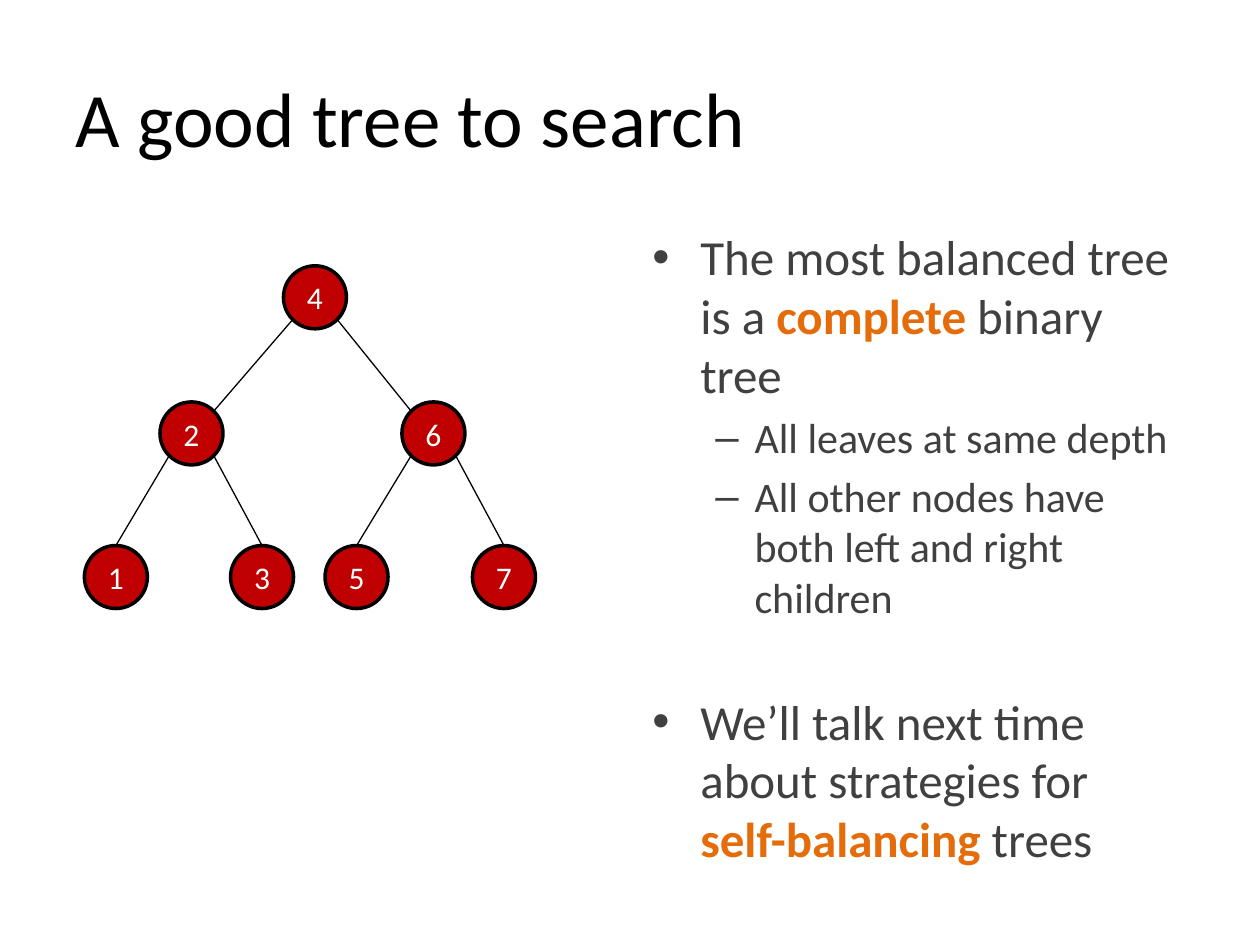
from dataclasses import dataclass
from math import sqrt

from lxml import etree
from pptx import Presentation
from pptx import util as u
from pptx.dml.color import RGBColor
from pptx.enum import shapes, text
from pptx.oxml.ns import qn


@dataclass(frozen=True)
class Theme:
    """Colours, font and type sizes."""
    font: str = "Calibri"
    ink: str = "000000"
    body: str = "404040"
    accent: str = "E46C0A"
    node: str = "C00000"
    label: str = "FFFFFF"
    title_size: int = 44
    body_sizes: tuple = (28, 24)
    label_size: int = 18


THEME = Theme()
SIZE = 0.5  # node diameter
# key: (centre x, centre y, parent)
NODES = {
    4: (2.5, 2.36, None),
    2: (1.52, 3.44, 4),
    6: (3.44, 3.44, 4),
    1: (0.92, 4.58, 2),
    3: (2.08, 4.58, 2),
    5: (2.83, 4.58, 6),
    7: (4, 4.58, 6),
}
# level, space before in points, runs as (wording, is key term)
POINTS = [
    (0, 0, [("The most balanced tree is a ", False), ("complete ", True),
            ("binary tree", False)]),
    (1, 4.8, [("All leaves at same depth", False)]),
    (1, 4.8, [("All other nodes have both left and right children", False)]),
    (0, 39.7, [("We’ll talk next time about strategies for ", False),
               ("self-balancing ", True), ("trees", False)]),
]
# per level: bullet, left margin, indent
BULLETS = [("•", 0.38, -0.38), ("–", 0.81, -0.31)]


def style(run, size, color, bold=False):
    """Format one run."""
    run.font.name = THEME.font
    run.font.size = u.Pt(size)
    run.font.bold = bold
    run.font.color.rgb = RGBColor.from_string(color)


def add_title(slide, words):
    """Fill and place the title placeholder."""
    title = slide.shapes.title
    title.left, title.top = u.Inches(0.5), u.Inches(0.3)
    title.width, title.height = u.Inches(9), u.Inches(1.25)
    frame = title.text_frame
    frame.text = words
    frame.auto_size = text.MSO_AUTO_SIZE.NONE
    frame.vertical_anchor = text.MSO_ANCHOR.MIDDLE
    para = frame.paragraphs[0]
    para.alignment = text.PP_ALIGN.LEFT
    style(para.runs[0], THEME.title_size, THEME.ink)


def set_bullet(para, level):
    """Give a paragraph the bullet and indent of its level."""
    char, margin, indent = BULLETS[level]
    para.level = level
    props = para._p.get_or_add_pPr()
    props.set("marL", str(u.Inches(margin)))
    props.set("indent", str(u.Inches(indent)))
    etree.SubElement(props, qn("a:buFont")).set("typeface", "Arial")
    etree.SubElement(props, qn("a:buChar")).set("char", char)


def add_points(slide):
    """Add the bulleted text column."""
    box = slide.shapes.add_textbox(
        u.Inches(5.08), u.Inches(1.75), u.Inches(4.42), u.Inches(4.95))
    frame = box.text_frame
    frame.word_wrap = True
    for i, (level, gap, parts) in enumerate(POINTS):
        para = frame.add_paragraph() if i else frame.paragraphs[0]
        para.space_before = u.Pt(gap)
        set_bullet(para, level)
        for words, key in parts:
            run = para.add_run()
            run.text = words
            style(run, THEME.body_sizes[level],
                  THEME.accent if key else THEME.body, key)


def add_edge(slide, parent, child, leaf):
    """Join the lower side of a parent to the upper side of its child."""
    (px, py), (cx, cy) = parent, child
    diag = SIZE / 2 / sqrt(2)
    side = diag if cx > px else -diag
    end = (cx, cy - SIZE / 2) if leaf else (cx - side, cy - diag)
    ends = (px + side, py + diag, *end)
    line = slide.shapes.add_connector(
        shapes.MSO_CONNECTOR.STRAIGHT, *(u.Inches(v) for v in ends))
    line.line.color.rgb = RGBColor.from_string(THEME.ink)
    line.line.width = u.Pt(0.75)
    etree.SubElement(line._element.spPr, qn("a:effectLst"))


def add_node(slide, key, x, y):
    """Add one numbered circle centred on x, y."""
    node = slide.shapes.add_shape(
        shapes.MSO_SHAPE.OVAL, u.Inches(x - SIZE / 2), u.Inches(y - SIZE / 2),
        u.Inches(SIZE), u.Inches(SIZE))
    node.shadow.inherit = False
    node.fill.solid()
    node.fill.fore_color.rgb = RGBColor.from_string(THEME.node)
    node.line.color.rgb = RGBColor.from_string(THEME.ink)
    node.line.width = u.Pt(2)
    frame = node.text_frame
    frame.text = str(key)
    frame.vertical_anchor = text.MSO_ANCHOR.MIDDLE
    para = frame.paragraphs[0]
    para.alignment = text.PP_ALIGN.CENTER
    style(para.runs[0], THEME.label_size, THEME.label)


def add_tree(slide):
    """Draw the edges, then the nodes."""
    parents = {parent for _, _, parent in NODES.values()}
    for key, (x, y, parent) in NODES.items():
        if parent is not None:
            add_edge(slide, NODES[parent][:2], (x, y), key not in parents)
    for key, (x, y, _) in NODES.items():
        add_node(slide, key, x, y)


def main():
    """Build and save the slide."""
    deck = Presentation()
    deck.slide_width, deck.slide_height = u.Inches(10), u.Inches(7.5)
    slide = deck.slides.add_slide(deck.slide_layouts[5])
    add_title(slide, "A good tree to search")
    add_points(slide)
    add_tree(slide)
    deck.save("out.pptx")


main()
